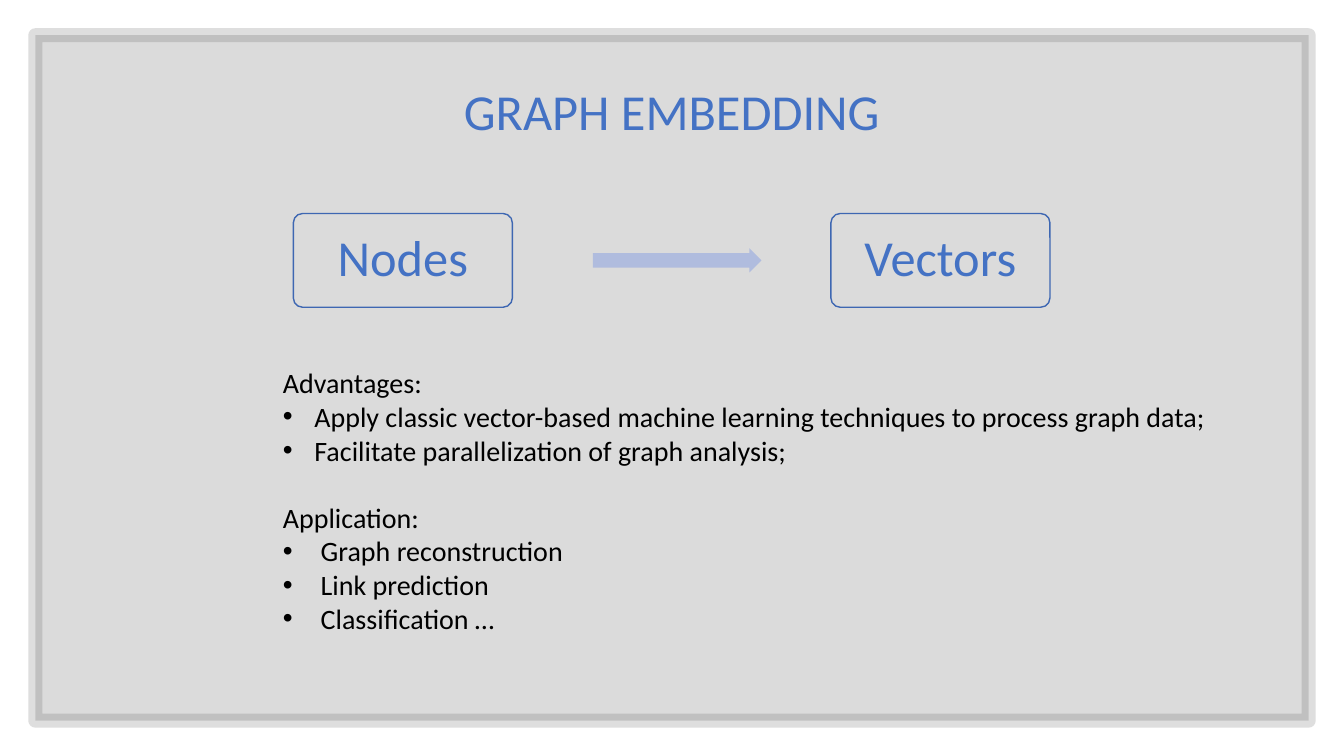
"""Build the Graph Embedding slide."""
from lxml.etree import SubElement
from pptx import Presentation
from pptx.dml.color import RGBColor
from pptx.enum.shapes import MSO_SHAPE
from pptx.enum.text import MSO_ANCHOR, PP_ALIGN
from pptx.oxml.ns import qn
from pptx.util import Pt

COLORS = {"blue": "4472C4", "outline": "3E67B2", "arrow": "B0BCDE",
          "black": "000000", "frame": "262626"}


def color(name):
    return RGBColor.from_string(COLORS[name])


def add_text(tf, text, new=False, size=20, fill="black", align=PP_ALIGN.LEFT,
             spacing=1.0, before=0, indent=0):
    p = tf.add_paragraph() if new else tf.paragraphs[0]
    p.alignment = align
    p.line_spacing = spacing
    if before:
        p.space_before = Pt(before)
    if indent:
        pPr = p._p.get_or_add_pPr()
        pPr.set("marL", str(Pt(indent)))
        pPr.set("indent", str(-Pt(indent)))
        SubElement(pPr, qn("a:buFont")).set("typeface", "Arial")
        SubElement(pPr, qn("a:buChar")).set("char", "•")
    r = p.add_run()
    r.text = text
    r.font.name = "Calibri"
    r.font.size = Pt(size)
    r.font.color.rgb = color(fill)


prs = Presentation()
prs.slide_width, prs.slide_height = Pt(960), Pt(540)
s = prs.slides.add_slide(prs.slide_layouts[6])

frame = s.shapes.add_shape(MSO_SHAPE.RECTANGLE, Pt(25.2), Pt(25.2), Pt(909.6), Pt(489.6))
frame.shadow.inherit = False
frame.line.width = Pt(10)
for fmt, name, alpha in [(frame.fill, "black", 14), (frame.line.fill, "frame", 15)]:
    fmt.solid()
    fmt.fore_color.rgb = color(name)
for clr, alpha in zip(frame._element.spPr.iter(qn("a:srgbClr")), (14, 15)):
    SubElement(clr, qn("a:alpha")).set("val", str(alpha * 1000))

heading = {"size": 36, "fill": "blue", "align": PP_ALIGN.CENTER, "spacing": 0.9}
title = s.shapes.add_textbox(Pt(66), Pt(49.7), Pt(828), Pt(64))
tf = title.text_frame
tf.word_wrap = True
tf.vertical_anchor = MSO_ANCHOR.MIDDLE
add_text(tf, "GRAPH EMBEDDING", **heading)

for i, label in enumerate(["Nodes", "Vectors"]):
    box = s.shapes.add_shape(MSO_SHAPE.ROUNDED_RECTANGLE,
                             Pt(209.5 + 384 * i), Pt(152.5), Pt(156.5), Pt(67))
    box.adjustments[0] = 0.1
    box.shadow.inherit = False
    box.fill.background()
    box.line.color.rgb = color("outline")
    box.line.width = Pt(1)
    tf = box.text_frame
    tf.vertical_anchor = MSO_ANCHOR.MIDDLE
    add_text(tf, label, **heading)

arrow = s.shapes.add_shape(MSO_SHAPE.RIGHT_ARROW, Pt(423.4), Pt(177.3), Pt(120.5), Pt(17.3))
arrow.adjustments[0] = 0.6
arrow.shadow.inherit = False
arrow.fill.solid()
arrow.fill.fore_color.rgb = color("arrow")
arrow.line.fill.background()

sections = [
    ("Advantages:", 22.5, [
        "Apply classic vector-based machine learning techniques to process graph data;",
        "Facilitate parallelization of graph analysis;"]),
    ("Application:", 27, ["Graph reconstruction", "Link prediction", "Classification …"]),
]
body = s.shapes.add_textbox(Pt(195), Pt(257.8), Pt(689), Pt(201))
tf = body.text_frame
tf.word_wrap = True
for i, (header, indent, items) in enumerate(sections):
    add_text(tf, header, new=i > 0, before=24 * i)
    for item in items:
        add_text(tf, item, new=True, indent=indent)

prs.save("out.pptx")
